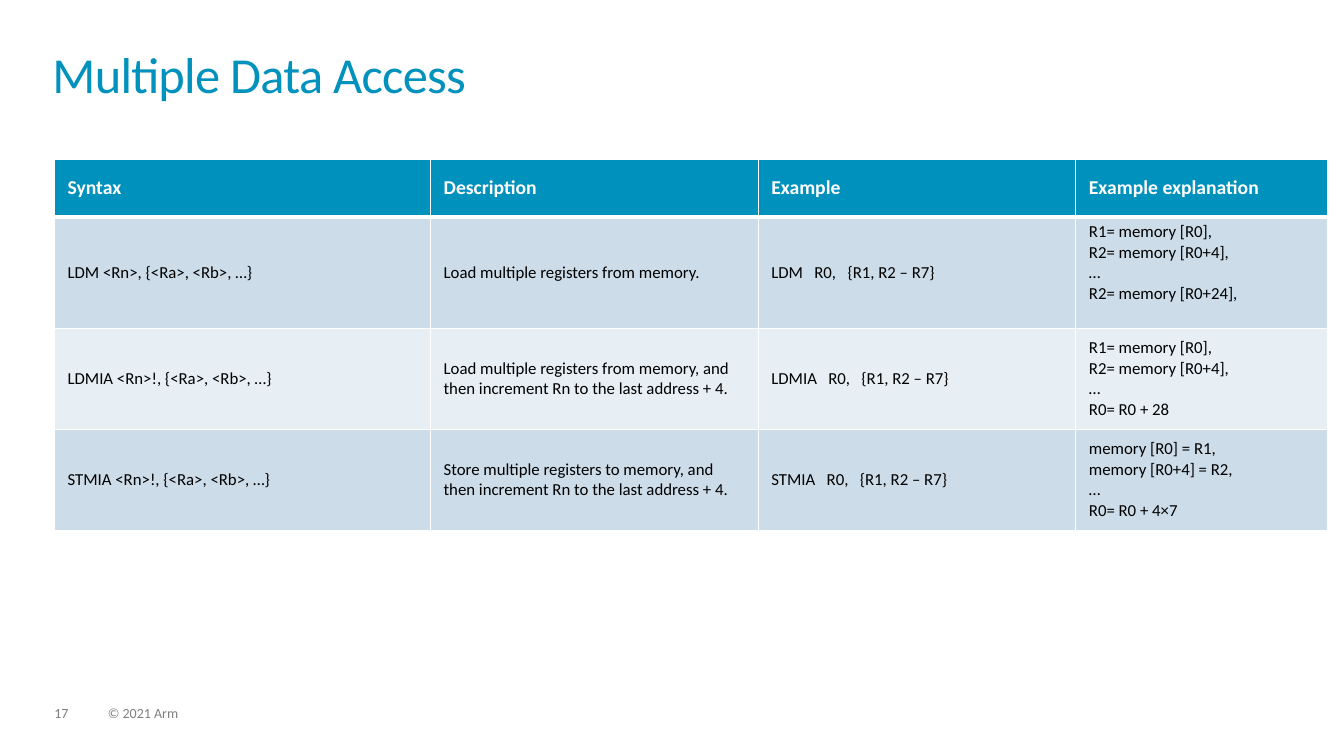
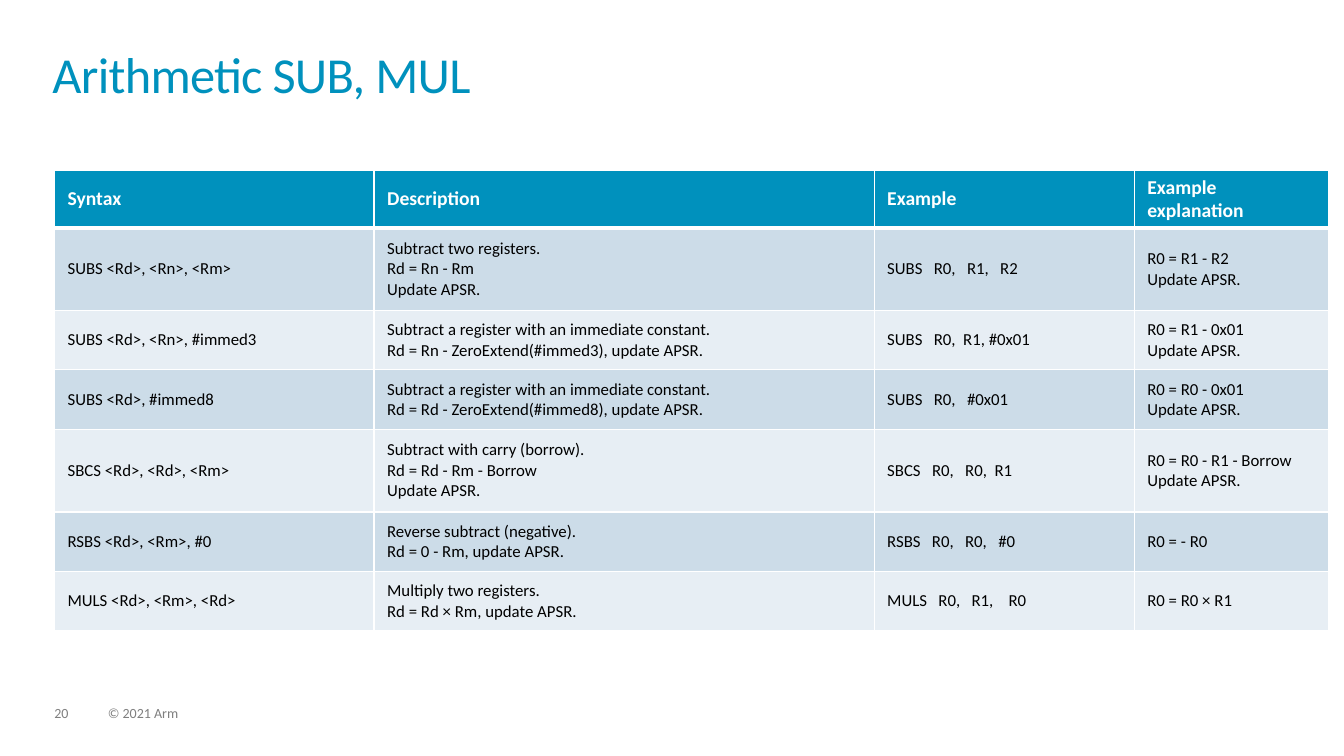
from lxml import etree
from pptx import Presentation
from pptx import util as u
from pptx.dml import color
from pptx.enum import text
from pptx.oxml import ns

HEX = {"blue": "0091BD", "white": "FFFFFF", "black": "000000",
       "gray": "7F7F7F", "dark": "CCDCE8", "light": "E7EEF4"}
FONT = "Calibri"
SCALE = 9144
HEADS = ["Syntax", "Description", "Example", "Example explanation"]


def px(n):
    return u.Emu(n * SCALE)


def rgb(name):
    return color.RGBColor.from_string(HEX[name])


class Deck:
    def __init__(self):
        self.prs = Presentation()
        self.prs.slide_width = px(1333)
        self.prs.slide_height = px(750)
        self.slide = None

    def page(self, title, num):
        self.slide = self.prs.slides.add_slide(self.prs.slide_layouts[6])
        self.foot(54, 34, str(num))
        self.foot(107, 507, "© 2021 Arm")
        self.title(title)

    def style(self, frame, size, tint, bold=False):
        for para in frame.paragraphs:
            for run in para.runs:
                font = run.font
                font.name, font.size, font.bold = FONT, u.Pt(size), bold
                font.color.rgb = rgb(tint)

    def label(self, x, y, w, h, words, size, tint, lead):
        box = self.slide.shapes.add_textbox(px(x), px(y), px(w), px(h))
        frame = box.text_frame
        frame.word_wrap = True
        frame.margin_left = frame.margin_right = 0
        frame.margin_top = frame.margin_bottom = 0
        frame.text = words
        frame.paragraphs[0].line_spacing = lead
        self.style(frame, size, tint)
        return frame

    def title(self, words):
        frame = self.label(52, 52, 1228, 72, words, 36, "blue", 0.85)
        frame.paragraphs[0].runs[0].font._element.set("spc", "-50")

    def foot(self, x, w, words):
        frame = self.label(x, 701, w, 15, words, 10, "gray", 0.9)
        frame.paragraphs[0].space_after = u.Pt(6)
        frame.auto_size = text.MSO_AUTO_SIZE.SHAPE_TO_FIT_TEXT

    def edge(self, cell, top, base):
        props = cell._tc.get_or_add_tcPr()
        sides = [("lnL", 1), ("lnR", 1), ("lnT", top), ("lnB", base)]
        for spot, (side, width) in enumerate(sides):
            line = etree.Element(ns.qn("a:" + side), w=str(u.Pt(width)))
            fill = etree.SubElement(line, ns.qn("a:solidFill"))
            etree.SubElement(fill, ns.qn("a:srgbClr"), val=HEX["white"])
            props.insert(spot, line)

    def cell(self, cell, words, row):
        head = row == 0
        cell.text = words
        cell.vertical_anchor = text.MSO_ANCHOR.MIDDLE
        cell.margin_left = cell.margin_right = px(13)
        cell.margin_top = cell.margin_bottom = px(5)
        cell.fill.solid()
        band = "blue" if head else ("light", "dark")[row % 2]
        cell.fill.fore_color.rgb = rgb(band)
        self.style(cell.text_frame, 14 if head else 12,
                   "white" if head else "black", head)
        self.edge(cell, 3 if row == 1 else 1, 3 if head else 1)

    def table(self, y, cols, highs, body):
        rows = [HEADS] + body
        frame = self.slide.shapes.add_table(
            len(rows), len(cols), px(54), px(y), px(sum(cols)), px(sum(highs)))
        grid = frame.table
        grid.first_row = True
        grid.horz_banding = False
        for col, wide in zip(grid.columns, cols):
            col.width = px(wide)
        for i, (row, high) in enumerate(zip(rows, highs)):
            grid.rows[i].height = px(high)
            for j, words in enumerate(row):
                self.cell(grid.cell(i, j), words, i)
        return grid


def access(deck):
    deck.page("Multiple Data Access", 17)
    grid = deck.table(158, [373, 325, 315, 250], [57, 111, 100, 100], [
        ["LDM <Rn>, {<Ra>, <Rb>, …}",
         "Load multiple registers from memory.",
         "LDM   R0,   {R1, R2 – R7}",
         "R1= memory [R0],\nR2= memory [R0+4],\n…\nR2= memory [R0+24],"],
        ["LDMIA <Rn>!, {<Ra>, <Rb>, …}",
         "Load multiple registers from memory, and then increment Rn "
         "to the last address + 4.",
         "LDMIA   R0,   {R1, R2 – R7}",
         "R1= memory [R0],\nR2= memory [R0+4],\n…\nR0= R0 + 28"],
        ["STMIA <Rn>!, {<Ra>, <Rb>, …}",
         "Store multiple registers to memory, and then increment Rn "
         "to the last address + 4.",
         "STMIA   R0,   {R1, R2 – R7}",
         "memory [R0] = R1,\nmemory [R0+4] = R2,\n…\nR0= R0 + 4×7"],
    ])
    grid.cell(1, 3).vertical_anchor = text.MSO_ANCHOR.TOP


def maths(deck):
    deck.page("Arithmetic SUB, MUL", 20)
    deck.table(169, [317, 496, 258, 193], [57, 82, 59, 59, 82, 59, 59], [
        ["SUBS <Rd>, <Rn>, <Rm>",
         "Subtract two registers.\nRd = Rn - Rm\nUpdate APSR.",
         "SUBS   R0,   R1,   R2",
         "R0 = R1 - R2\nUpdate APSR."],
        ["SUBS <Rd>, <Rn>, #immed3",
         "Subtract a register with an immediate constant.\n"
         "Rd = Rn - ZeroExtend(#immed3), update APSR.",
         "SUBS   R0,  R1, #0x01",
         "R0 = R1 - 0x01\nUpdate APSR."],
        ["SUBS <Rd>, #immed8",
         "Subtract a register with an immediate constant.\n"
         "Rd = Rd - ZeroExtend(#immed8), update APSR.",
         "SUBS   R0,   #0x01",
         "R0 = R0 - 0x01\nUpdate APSR."],
        ["SBCS <Rd>, <Rd>, <Rm>",
         "Subtract with carry (borrow).\nRd = Rd - Rm - Borrow\nUpdate APSR.",
         "SBCS   R0,   R0,  R1",
         "R0 = R0 - R1 - Borrow\nUpdate APSR."],
        ["RSBS <Rd>, <Rm>, #0",
         "Reverse subtract (negative).\nRd = 0 - Rm, update APSR.",
         "RSBS   R0,   R0,   #0",
         "R0 = - R0"],
        ["MULS <Rd>, <Rm>, <Rd>",
         "Multiply two registers.\nRd = Rd × Rm, update APSR.",
         "MULS   R0,   R1,    R0",
         "R0 = R0 × R1"],
    ])


def main():
    deck = Deck()
    access(deck)
    maths(deck)
    deck.prs.save("out.pptx")


if __name__ == "__main__":
    main()
